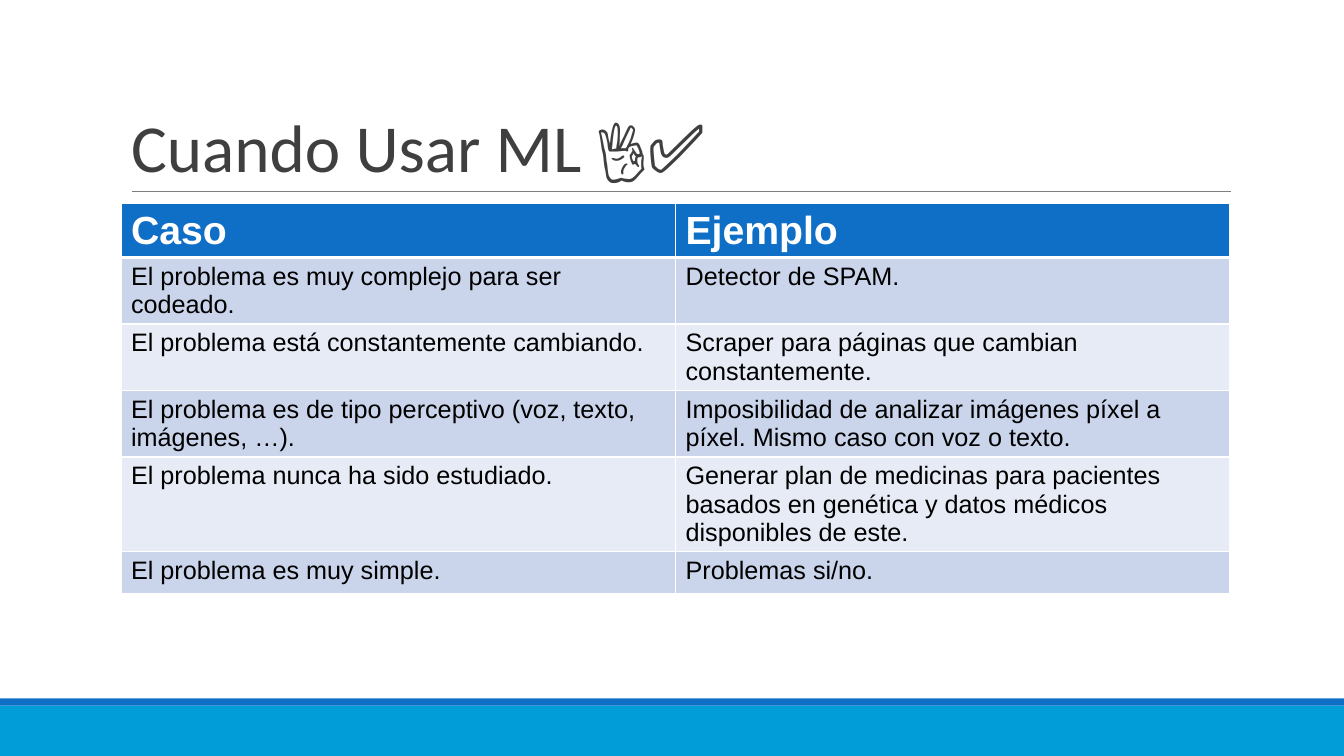
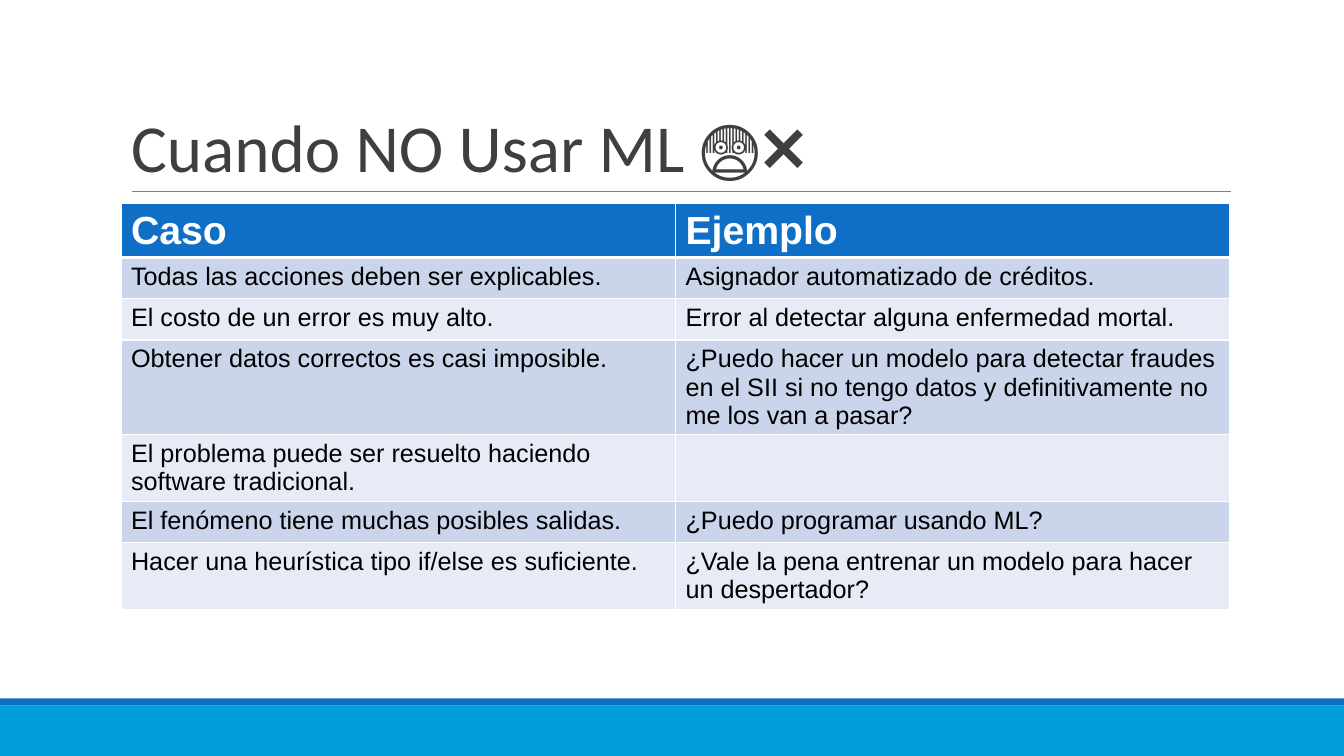
from lxml import etree
from pptx import Presentation
from pptx.dml.color import RGBColor
from pptx.enum.shapes import MSO_CONNECTOR, MSO_SHAPE
from pptx.enum.text import MSO_ANCHOR, MSO_AUTO_SIZE, PP_ALIGN
from pptx.oxml.ns import qn
from pptx.util import Inches, Pt

STRAIGHT = MSO_CONNECTOR.STRAIGHT
RECTANGLE = MSO_SHAPE.RECTANGLE
BOTTOM = MSO_ANCHOR.BOTTOM
NO_AUTOFIT = MSO_AUTO_SIZE.NONE
LEFT = PP_ALIGN.LEFT

WHITE = RGBColor(0xFF, 0xFF, 0xFF)
BLACK = RGBColor(0x00, 0x00, 0x00)
BLUE = RGBColor(0x0F, 0x6F, 0xC6)
CYAN = RGBColor(0x00, 0x9D, 0xD9)
GRAY = RGBColor(0x7F, 0x7F, 0x7F)
DARK_GRAY = RGBColor(0x3F, 0x3F, 0x3F)
ROW_FILLS = [RGBColor(0xCA, 0xD4, 0xEA), RGBColor(0xE6, 0xEB, 0xF5)]

TITLE_FORMAT = {"name": "Calibri", "size": Pt(48), "bold": False}
HEADER_FORMAT = {"name": "Arial", "size": Pt(28), "bold": True}
BODY_FORMAT = {"name": "Arial", "size": Pt(18), "bold": False}

# Boxes: left, top, width, height in inches
TITLE_BOX = (1.2, 0.31, 11, 1.59)
TABLE_BOX = (1.2, 2.02, 11)
BANDS = [((0, 7, 13.33, 0.5), CYAN), ((0, 6.93, 13.33, 0.07), BLUE)]
ROW_HEIGHT = 0.41
THIN, THICK = 1, 3

HEADINGS = ("Caso", "Ejemplo")
SLIDES = [
    ("Cuando Usar ML 👌✅", [
        ("El problema es muy complejo para ser codeado.", "Detector de SPAM."),
        ("El problema está constantemente cambiando.",
         "Scraper para páginas que cambian constantemente."),
        ("El problema es de tipo perceptivo (voz, texto, imágenes, …).",
         "Imposibilidad de analizar imágenes píxel a píxel. Mismo caso con voz o texto."),
        ("El problema nunca ha sido estudiado.",
         "Generar plan de medicinas para pacientes basados en genética "
         "y datos médicos disponibles de este."),
        ("El problema es muy simple.", "Problemas si/no."),
    ]),
    ("Cuando NO Usar ML 😨❌", [
        ("Todas las acciones deben ser explicables.",
         "Asignador automatizado de créditos."),
        ("El costo de un error es muy alto.",
         "Error al detectar alguna enfermedad mortal."),
        ("Obtener datos correctos es casi imposible.",
         "¿Puedo hacer un modelo para detectar fraudes en el SII si no tengo "
         "datos y definitivamente no me los van a pasar?"),
        ("El problema puede ser resuelto haciendo software tradicional.", ""),
        ("El fenómeno tiene muchas posibles salidas.", "¿Puedo programar usando ML?"),
        ("Hacer una heurística tipo if/else es suficiente.",
         "¿Vale la pena entrenar un modelo para hacer un despertador?"),
    ]),
]


def format_font(font, values, color):
    for attribute, value in values.items():
        setattr(font, attribute, value)
    font.color.rgb = color


def add_bands(slide):
    for box, color in BANDS:
        band = slide.shapes.add_shape(RECTANGLE, *map(Inches, box))
        band.shadow.inherit = False
        band.fill.solid()
        band.fill.fore_color.rgb = color
        band.line.fill.background()


def add_title(slide, text, box):
    left, top, width, height = box
    title = slide.shapes.title
    title.left, title.top, title.width, title.height = map(Inches, box)
    frame = title.text_frame
    frame.word_wrap = True
    frame.auto_size = NO_AUTOFIT
    frame.vertical_anchor = BOTTOM
    paragraph = frame.paragraphs[0]
    paragraph.alignment = LEFT
    paragraph.line_spacing = 0.85
    run = paragraph.add_run()
    run.text = text
    format_font(run.font, TITLE_FORMAT, DARK_GRAY)

    # Rule along the bottom of the title
    bottom = Inches(top + height)
    rule = slide.shapes.add_connector(
        STRAIGHT, Inches(left + 0.11), bottom, Inches(left + width + 0.01), bottom)
    rule.line.color.rgb = GRAY
    rule.line.width = Pt(0.75)
    etree.SubElement(rule._element.spPr, qn("a:effectLst"))


def set_borders(cell, top, bottom):
    properties = cell._tc.get_or_add_tcPr()
    widths = {"a:lnL": THIN, "a:lnR": THIN, "a:lnT": top, "a:lnB": bottom}
    for tag, width in widths.items():
        line = etree.SubElement(properties, qn(tag), w=str(Pt(width)))
        fill = etree.SubElement(line, qn("a:solidFill"))
        etree.SubElement(fill, qn("a:srgbClr"), val=str(WHITE))


def fill_cell(cell, text, row_index):
    is_header = row_index == 0
    set_borders(cell, THICK if row_index == 1 else THIN, THICK if is_header else THIN)
    cell.fill.solid()
    cell.fill.fore_color.rgb = BLUE if is_header else ROW_FILLS[(row_index - 1) % 2]
    if text:
        run = cell.text_frame.paragraphs[0].add_run()
        run.text = text
        format_font(run.font, HEADER_FORMAT if is_header else BODY_FORMAT,
                    WHITE if is_header else BLACK)


def add_case_table(slide, cases, box):
    left, top, width = box
    rows = [HEADINGS, *cases]
    table = slide.shapes.add_table(
        len(rows), len(HEADINGS), Inches(left), Inches(top),
        Inches(width), Inches(ROW_HEIGHT * len(rows))).table
    for row_index, texts in enumerate(rows):
        for column_index, text in enumerate(texts):
            fill_cell(table.cell(row_index, column_index), text, row_index)


def add_case_slide(presentation, title, cases):
    title_only = presentation.slide_layouts[5]
    slide = presentation.slides.add_slide(title_only)
    add_bands(slide)
    add_title(slide, title, TITLE_BOX)
    add_case_table(slide, cases, TABLE_BOX)


def main():
    presentation = Presentation()
    presentation.slide_width = Inches(13.33)
    presentation.slide_height = Inches(7.5)
    for title, cases in SLIDES:
        add_case_slide(presentation, title, cases)
    presentation.save("out.pptx")


if __name__ == "__main__":
    main()
